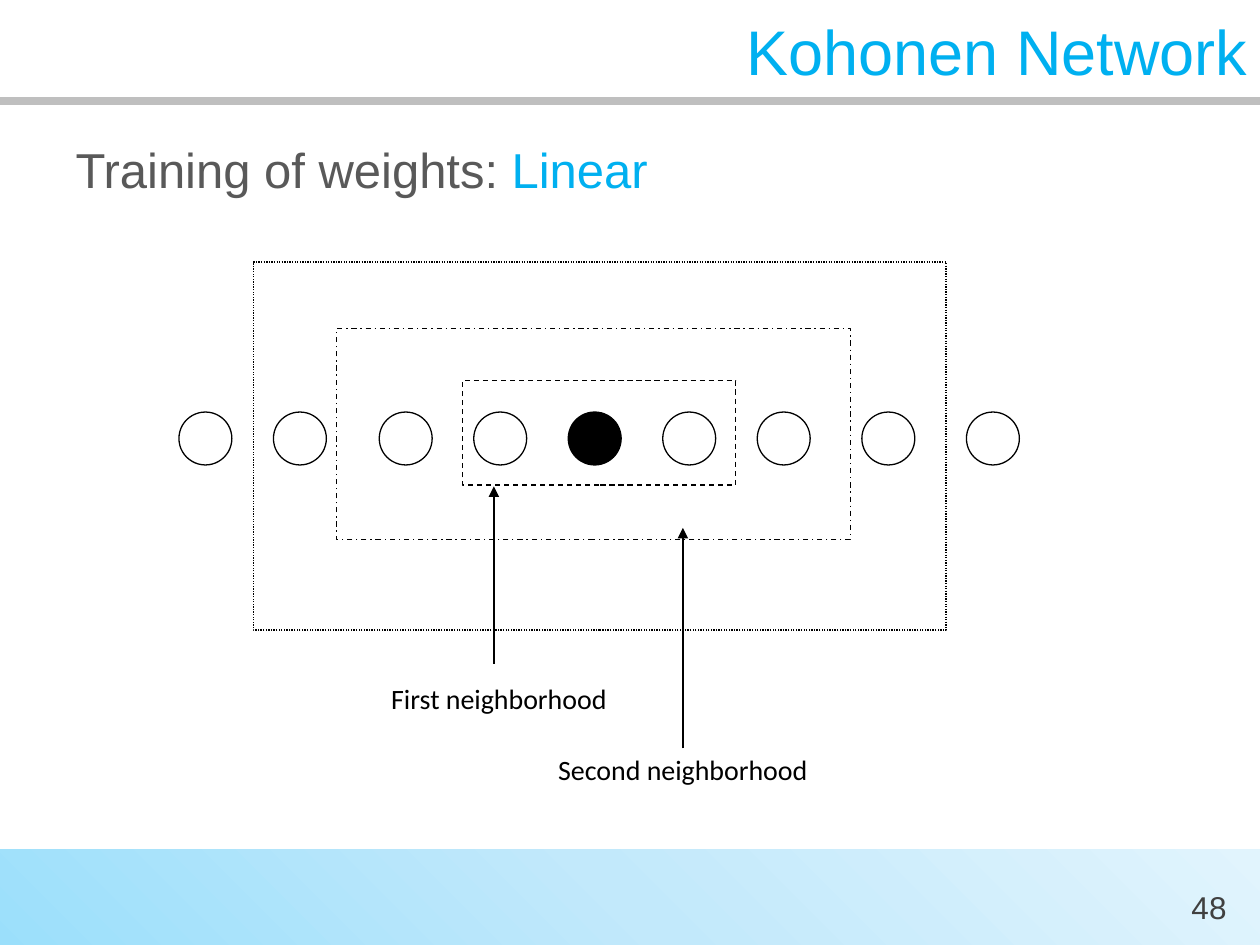
from itertools import accumulate

from lxml.etree import SubElement
from pptx import Presentation
from pptx.dml.color import RGBColor
from pptx.enum.dml import MSO_LINE
from pptx.enum.shapes import MSO_CONNECTOR, MSO_SHAPE
from pptx.enum.text import MSO_ANCHOR, MSO_AUTO_SIZE, PP_ALIGN
from pptx.oxml import parse_xml
from pptx.oxml.ns import nsdecls, qn
from pptx.util import Inches, Pt

THEME = {
    "accent": "00B0F0", "body": "595959", "number": "404040",
    "ink": "000000", "rule": "BFBFBF",
    "band": ((0, "9BDFFB"), (50, "C2E9FB"), (100, "E1F4FD")),
    "font": "Arial", "label_font": "Calibri",
    "title_size": 36, "body_size": 28, "number_size": 18, "label_size": 16,
    "outline": 0.75, "rule_width": 4.5,
}

TITLE = "Kohonen Network"
TOPIC = [("Training of weights: ", THEME["body"]), ("Linear", THEME["accent"])]
PAGE_NUMBER = "48"

# Row of neurons: first left edge, then the steps between neighbours
NEURON_START, NEURON_TOP, NEURON_SIZE = 1.42, 3.27, 0.42
NEURON_STEPS = [0.75, 0.84, 0.75, 0.75, 0.75, 0.75, 0.83, 0.83]
WINNER = 4

# Neighborhood frames: left, top, width, height, dash
NEIGHBORHOODS = [
    (3.67, 3.02, 2.17, 0.83, MSO_LINE.DASH),
    (2.67, 2.61, 4.08, 1.67, MSO_LINE.DASH_DOT),
    (2.01, 2.08, 5.5, 2.92, MSO_LINE.ROUND_DOT),
]

# Callouts: text, label left, label top, arrow x, arrow start, arrow tip
CALLOUTS = [
    ("First neighborhood", 1.92, 5.36, 3.92, 5.27, 3.86),
    ("Second neighborhood", 3.38, 5.92, 5.42, 5.94, 4.19),
]
LABEL_WIDTH, LABEL_HEIGHT = 4.08, 0.36


def rgb(color):
    return RGBColor.from_string(color)


def place(shape, left, top, width, height):
    shape.left, shape.top = Inches(left), Inches(top)
    shape.width, shape.height = Inches(width), Inches(height)


def write(shape, runs, size, font=THEME["font"], align=PP_ALIGN.LEFT,
          anchor=MSO_ANCHOR.TOP, space_before=0):
    """Fill a shape with one paragraph of (text, color) runs."""
    frame = shape.text_frame
    frame.word_wrap = True
    frame.auto_size = MSO_AUTO_SIZE.NONE
    frame.vertical_anchor = anchor
    paragraph = frame.paragraphs[0]
    paragraph.alignment = align
    paragraph.space_before = Pt(space_before)
    for text, color in runs:
        run = paragraph.add_run()
        run.text = text
        run.font.name, run.font.size = font, Pt(size)
        run.font.color.rgb = rgb(color)
    return paragraph


def add_text(slide, box, runs, size, **format):
    textbox = slide.shapes.add_textbox(*map(Inches, box))
    write(textbox, runs, size, **format)


def add_outline(slide, kind, box, fill=None, dash=None):
    shape = slide.shapes.add_shape(kind, *map(Inches, box))
    shape.shadow.inherit = False
    if fill:
        shape.fill.solid()
        shape.fill.fore_color.rgb = rgb(fill)
    else:
        shape.fill.background()
    shape.line.color.rgb = rgb(THEME["ink"])
    shape.line.width = Pt(THEME["outline"])
    if dash:
        shape.line.dash_style = dash


def add_line(slide, start, end, color, width, arrow=False):
    line = slide.shapes.add_connector(
        MSO_CONNECTOR.STRAIGHT, *map(Inches, start + end))
    line.line.color.rgb = rgb(color)
    line.line.width = Pt(width)
    if arrow:
        SubElement(line.line._get_or_add_ln(), qn("a:tailEnd"), type="triangle")
    SubElement(line._element.spPr, qn("a:effectLst"))


def add_footer_band(slide):
    band = slide.shapes.add_shape(
        MSO_SHAPE.RECTANGLE, *map(Inches, (0, 6.74, 10, 0.84)))
    band.shadow.inherit = False
    band.line.fill.background()
    stops = "".join(
        f'<a:gs pos="{percent * 1000}"><a:srgbClr val="{color}"/></a:gs>'
        for percent, color in THEME["band"])
    gradient = parse_xml(
        f'<a:gradFill {nsdecls("a")} rotWithShape="1"><a:gsLst>{stops}</a:gsLst>'
        f'<a:lin ang="{315 * 60000}" scaled="0"/></a:gradFill>')
    band._element.spPr.find(qn("a:prstGeom")).addnext(gradient)


def add_headings(slide):
    title, body = slide.placeholders
    place(title, 0, 0, 10, 0.8)
    write(title, [(TITLE, THEME["accent"])], THEME["title_size"],
          align=PP_ALIGN.RIGHT, anchor=MSO_ANCHOR.MIDDLE)
    place(body, 0.5, 1.06, 9, 5.68)
    topic = write(body, TOPIC, THEME["body_size"], space_before=12)
    properties = topic._p.get_or_add_pPr()
    properties.set("marL", "0")
    properties.set("indent", "0")
    SubElement(properties, qn("a:buNone"))


def add_network(slide):
    lefts = accumulate(NEURON_STEPS, initial=NEURON_START)
    for position, left in enumerate(lefts):
        add_outline(slide, MSO_SHAPE.OVAL,
                    (left, NEURON_TOP, NEURON_SIZE, NEURON_SIZE),
                    fill=THEME["ink"] if position == WINNER else None)
    for *box, dash in NEIGHBORHOODS:
        add_outline(slide, MSO_SHAPE.RECTANGLE, box, dash=dash)
    for text, left, top, x, start, tip in CALLOUTS:
        add_line(slide, (x, start), (x, tip), THEME["ink"], THEME["outline"],
                 arrow=True)
        add_text(slide, (left, top, LABEL_WIDTH, LABEL_HEIGHT),
                 [(text, THEME["ink"])], THEME["label_size"],
                 font=THEME["label_font"], align=PP_ALIGN.CENTER)


def main():
    deck = Presentation()
    deck.slide_width, deck.slide_height = Inches(10), Inches(7.5)
    slide = deck.slides.add_slide(deck.slide_layouts[1])
    add_footer_band(slide)
    add_line(slide, (0, 0.8), (10, 0.8), THEME["rule"], THEME["rule_width"])
    add_text(slide, (9.19, 6.89, 0.81, 0.61), [(PAGE_NUMBER, THEME["number"])],
             THEME["number_size"], align=PP_ALIGN.CENTER,
             anchor=MSO_ANCHOR.MIDDLE)
    add_headings(slide)
    add_network(slide)
    deck.save("out.pptx")


if __name__ == "__main__":
    main()
